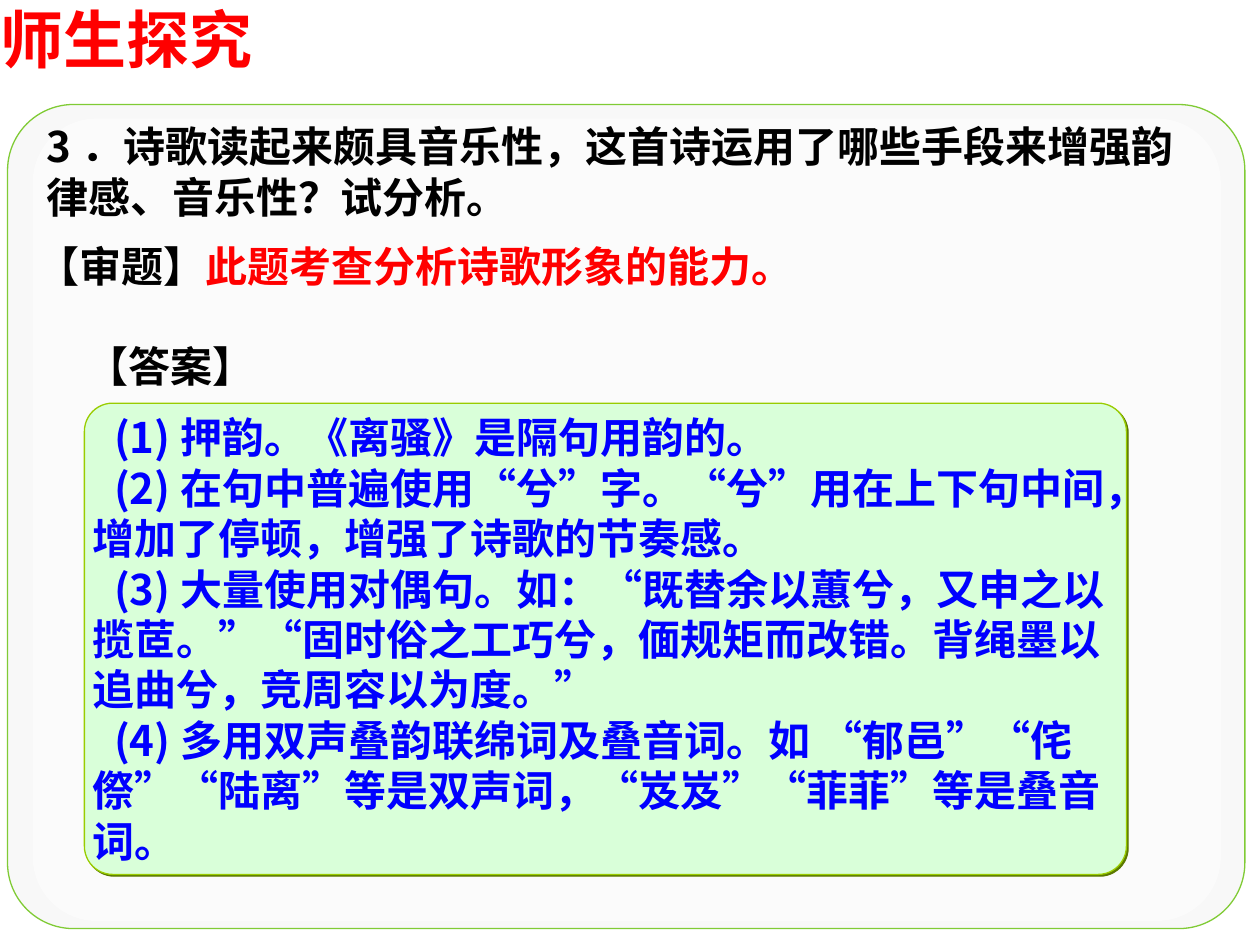
from lxml.etree import SubElement
from pptx import Presentation
from pptx.dml.color import RGBColor
from pptx.enum.shapes import MSO_SHAPE
from pptx.enum.text import MSO_ANCHOR, MSO_AUTO_SIZE, PP_ALIGN
from pptx.oxml.ns import qn
from pptx.util import Inches, Pt

CJK = "Noto Sans CJK SC"
BLACK, RED, BLUE = "000000", "FF0000", "0000FF"
POINTS = [
    "(1)押韵。《离骚》是隔句用韵的。",
    "(2)在句中普遍使用“兮”字。“兮”用在上下句中间，增加了停顿，增强了诗歌的节奏感。",
    "(3)大量使用对偶句。如：“既替余以蕙兮，又申之以揽茝。”“固时俗之工巧兮，偭规矩而改错。背绳墨以追曲兮，竞周容以为度。”",
    "(4)多用双声叠韵联绵词及叠音词。如 “郁邑”“侘傺”“陆离”等是双声词，“岌岌”“菲菲”等是叠音词。",
]


def paint(color, hue):
    color.rgb = RGBColor.from_string(hue)


def add_shade(effects, hue, dist):
    shade = SubElement(effects, qn("a:outerShdw"), blurRad="0",
                       dist=str(Pt(dist)), dir="2700000", algn="tl", rotWithShape="0")
    SubElement(shade, qn("a:srgbClr"), val=hue)


def add_run(par, text, hue, size=24, face="Arial", shade=True):
    run = par.add_run()
    run.text = text
    font = run.font
    font.size, font.bold = Pt(size), True
    font.fill.solid()
    paint(font.fill.fore_color, hue)
    props = run._r.get_or_add_rPr()
    if shade:
        add_shade(SubElement(props, qn("a:effectLst")), "808080", 1.4)
    font.name = face
    SubElement(props, qn("a:ea"), typeface=CJK)


def set_frame(frame, inset=(0, 0), anchor=MSO_ANCHOR.TOP):
    frame.auto_size = MSO_AUTO_SIZE.NONE
    frame.word_wrap = True
    frame.vertical_anchor = anchor
    frame.margin_left = frame.margin_right = Inches(inset[0])
    frame.margin_top = frame.margin_bottom = Inches(inset[1])


def set_title(slide, text):
    title = slide.shapes.title
    title.left, title.top = Inches(0), Inches(0)
    title.width, title.height = Inches(3.35), Inches(0.6)
    set_frame(title.text_frame)
    par = title.text_frame.paragraphs[0]
    par.alignment = PP_ALIGN.LEFT
    add_run(par, text, RED, 36)


def add_label(slide, spot, runs, face="Arial", anchor=MSO_ANCHOR.TOP):
    box = slide.shapes.add_textbox(*map(Inches, spot))
    set_frame(box.text_frame, (0.1, 0.05), anchor)
    for text, hue in runs:
        add_run(box.text_frame.paragraphs[0], text, hue, face=face)


def add_panel(slide, spot, curve, fill, line=None, alpha=None):
    panel = slide.shapes.add_shape(MSO_SHAPE.ROUNDED_RECTANGLE, *map(Inches, spot))
    panel.adjustments[0] = curve
    panel.shadow.inherit = False
    panel.fill.solid()
    paint(panel.fill.fore_color, fill)
    if alpha:
        tint = panel._element.spPr.find(qn("a:solidFill"))[0]
        SubElement(tint, qn("a:alpha"), val=str(alpha * 1000))
    if line:
        paint(panel.line.color, line)
        panel.line.width = Pt(0.75)
    else:
        panel.line.fill.background()
    return panel


def add_answer(slide):
    card = add_panel(slide, (0.67, 3.2, 8.27, 3.74), 0.06, "D9FFD9", "99CC00")
    add_shade(card._element.spPr.find(qn("a:effectLst")), "5B7900", 1.4)
    frame = card.text_frame
    set_frame(frame, anchor=MSO_ANCHOR.MIDDLE)
    for i, text in enumerate(POINTS):
        par = frame.add_paragraph() if i else frame.paragraphs[0]
        par.alignment = PP_ALIGN.LEFT
        par._p.get_or_add_pPr().set("indent", str(Inches(0.17)))
        add_run(par, text, BLUE, face=CJK, shade=False)


def main():
    deck = Presentation()
    deck.slide_width, deck.slide_height = Inches(10), Inches(7.5)
    slide = deck.slides.add_slide(deck.slide_layouts[5])
    add_panel(slide, (0.06, 0.83, 9.82, 6.54), 0.08, "F8F8F8", "80CB35")
    add_panel(slide, (0.26, 0.94, 9.43, 6.37), 0.08, "FFFFFF", alpha=50)
    set_title(slide, "师生探究")
    question = "3．诗歌读起来颇具音乐性，这首诗运用了哪些手段来增强韵律感、音乐性？试分析。"
    add_label(slide, (0.27, 0.91, 9.21, 0.9), [(question, BLACK)], CJK, MSO_ANCHOR.MIDDLE)
    add_label(slide, (0.2, 1.86, 7.17, 0.5),
              [("【审题】", BLACK), ("此题考查分析诗歌形象的能力。", RED)])
    add_answer(slide)
    add_label(slide, (0.59, 2.65, 1.57, 0.5), [("【答案】", BLACK)])
    deck.save("out.pptx")


if __name__ == "__main__":
    main()
